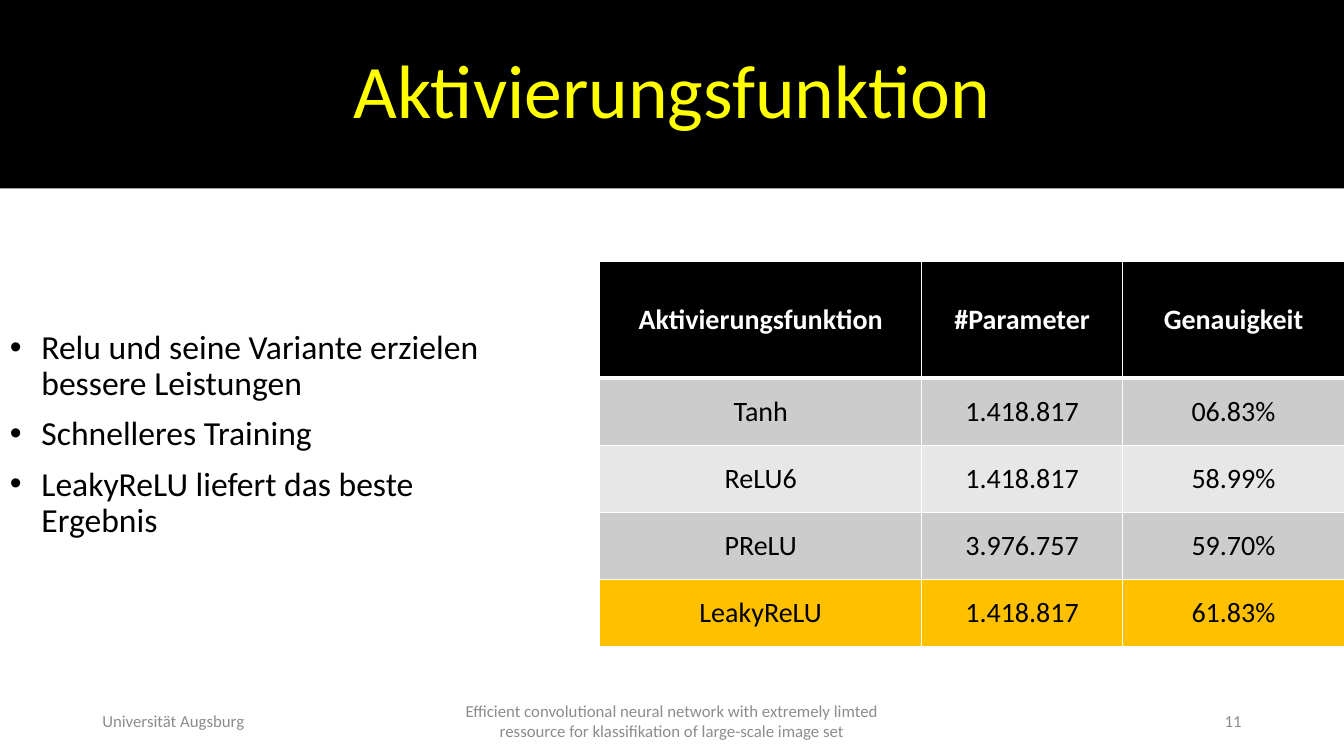
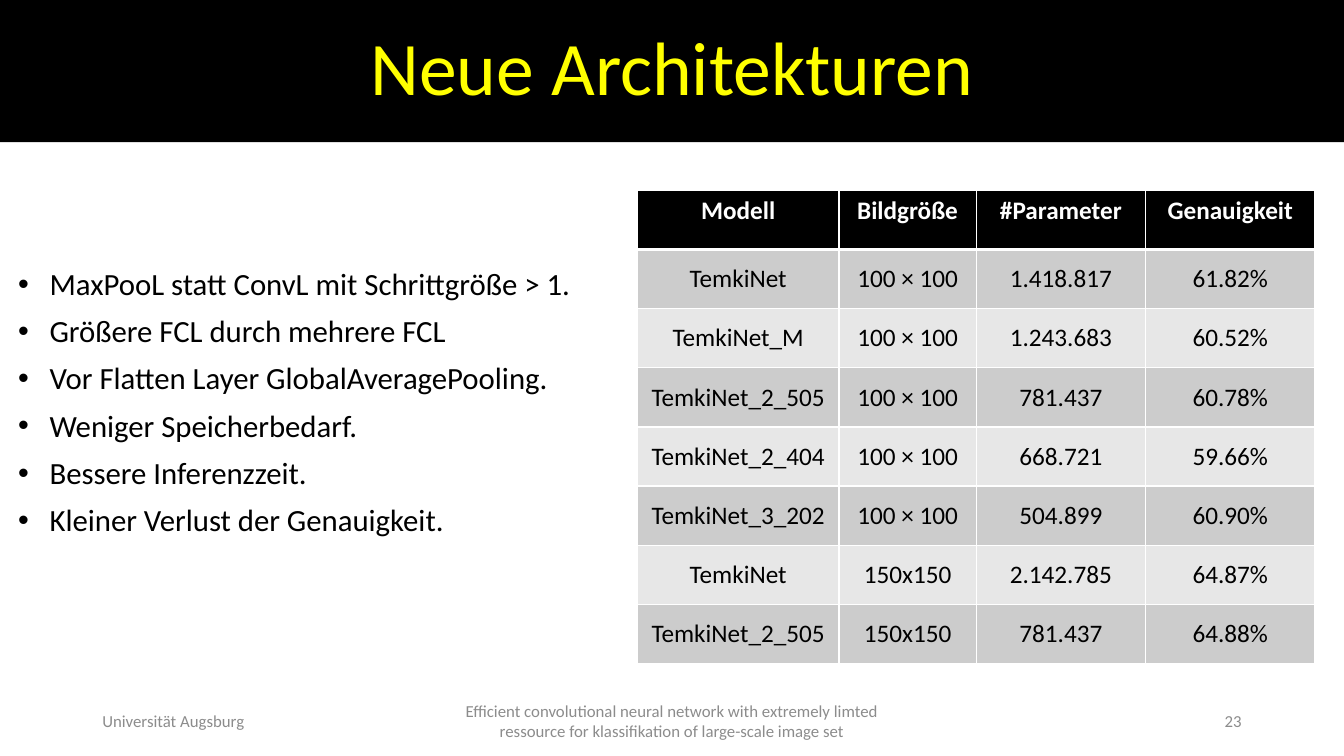
import pptx
import pptx.dml.color
import pptx.enum.shapes
import pptx.enum.text
import pptx.oxml
import pptx.oxml.ns
import pptx.util

Pt = pptx.util.Pt
RGB = pptx.dml.color.RGBColor
ALIGN = pptx.enum.text.PP_ALIGN
MIDDLE = pptx.enum.text.MSO_ANCHOR.MIDDLE
TOP = pptx.enum.text.MSO_ANCHOR.TOP
NS = pptx.oxml.ns.nsdecls("a")

BLACK = RGB(0x00, 0x00, 0x00)
WHITE = RGB(0xFF, 0xFF, 0xFF)
YELLOW = RGB(0xFF, 0xFF, 0x00)
GOLD = RGB(0xFF, 0xC0, 0x00)
MUTED = RGB(0x8C, 0x8C, 0x8C)
BANDS = [RGB(0xE7, 0xE7, 0xE7), RGB(0xCC, 0xCC, 0xCC)]

FONT = "Calibri"
WIDTH = 960
INDENT = Pt(22.5)
THESIS = ("Efficient convolutional neural network with extremely limted "
          "ressource for klassifikation of large-scale image set")

SLIDES = [
    {
        "title": "Aktivierungsfunktion", "band": 134.5, "number": "11",
        "points": [
            "Relu und seine Variante erzielen bessere Leistungen",
            "Schnelleres Training",
            "LeakyReLU liefert das beste Ergebnis",
        ],
        "body": (0, 187, 389.5, 247.5), "size": 24,
        "corner": (428.4, 187), "cols": [230, 143.5, 158.5],
        "rows": [83] + [48] * 4, "inset": (22, 6.5),
        "font": 20, "anchor": MIDDLE, "best": 4,
        "cells": [
            ["Aktivierungsfunktion", "#Parameter", "Genauigkeit"],
            ["Tanh", "1.418.817", "06.83%"],
            ["ReLU6", "1.418.817", "58.99%"],
            ["PReLU", "3.976.757", "59.70%"],
            ["LeakyReLU", "1.418.817", "61.83%"],
        ],
    },
    {
        "title": "Neue Architekturen", "band": 101.5, "number": "23",
        "points": [
            "MaxPooL statt ConvL mit Schrittgröße > 1.",
            "Größere FCL durch mehrere FCL",
            "Vor Flatten Layer GlobalAveragePooling.",
            "Weniger Speicherbedarf.",
            "Bessere Inferenzzeit.",
            "Kleiner Verlust der Genauigkeit.",
        ],
        "body": (5.8, 136, 440.6, 304.5), "size": 22,
        "corner": (455.3, 136), "cols": [144, 98, 121, 121],
        "rows": [42.25] * 8, "inset": (7.2, 3.6),
        "font": 18, "anchor": TOP, "best": None,
        "cells": [
            ["Modell", "Bildgröße", "#Parameter", "Genauigkeit"],
            ["TemkiNet", "100 × 100", "1.418.817", "61.82%"],
            ["TemkiNet_M", "100 × 100", "1.243.683", "60.52%"],
            ["TemkiNet_2_505", "100 × 100", "781.437", "60.78%"],
            ["TemkiNet_2_404", "100 × 100", "668.721", "59.66%"],
            ["TemkiNet_3_202", "100 × 100", "504.899", "60.90%"],
            ["TemkiNet", "150x150", "2.142.785", "64.87%"],
            ["TemkiNet_2_505", "150x150", "781.437", "64.88%"],
        ],
    },
]


def write(para, text, size, color, align=ALIGN.LEFT, bold=False):
    para.text = text
    para.alignment = align
    font = para.font
    font.name, font.size, font.bold = FONT, Pt(size), bold
    font.color.rgb = color


def add_text(slide, *area):
    """Add a wrapping, vertically centred text box and return its frame."""
    frame = slide.shapes.add_textbox(*map(Pt, area)).text_frame
    frame.word_wrap = True
    frame.vertical_anchor = MIDDLE
    return frame


deck = pptx.Presentation()
deck.slide_width, deck.slide_height = Pt(WIDTH), Pt(540)

for page in SLIDES:
    slide = deck.slides.add_slide(deck.slide_layouts[6])

    # Title band
    band = slide.shapes.add_shape(
        pptx.enum.shapes.MSO_SHAPE.RECTANGLE, 0, 0, Pt(WIDTH), Pt(page["band"]))
    band.shadow.inherit = False
    band.fill.solid()
    band.fill.fore_color.rgb = BLACK
    band.line.fill.background()
    band.text_frame.word_wrap = True
    band.text_frame.vertical_anchor = MIDDLE
    title = band.text_frame.paragraphs[0]
    title.line_spacing = 0.9
    write(title, page["title"], 54, YELLOW, ALIGN.CENTER)

    # Bullet list
    frame = add_text(slide, *page["body"])
    for i, point in enumerate(page["points"]):
        para = frame.add_paragraph() if i else frame.paragraphs[0]
        para.line_spacing = 0.9
        para.space_before = Pt(10)
        props = para._p.get_or_add_pPr()
        props.set("marL", str(INDENT))
        props.set("indent", str(-INDENT))
        for tag in ('buFont typeface="Arial"', 'buChar char="•"'):
            props.append(pptx.oxml.parse_xml(f"<a:{tag} {NS}/>"))
        write(para, point, page["size"], BLACK)

    # Results table
    cols, rows = page["cols"], page["rows"]
    area = (*page["corner"], sum(cols), sum(rows))
    table = slide.shapes.add_table(len(rows), len(cols), *map(Pt, area)).table
    table.first_row = table.horz_banding = False
    for col, width in zip(table.columns, cols):
        col.width = Pt(width)
    for row, height in zip(table.rows, rows):
        row.height = Pt(height)
    for r, texts in enumerate(page["cells"]):
        head = r == 0
        fill = BLACK if head else GOLD if r == page["best"] else BANDS[r % 2]
        edges = {"L": 1, "R": 1, "T": 3 if r == 1 else 1, "B": 3 if head else 1}
        for c, text in enumerate(texts):
            cell = table.cell(r, c)
            props = cell._tc.get_or_add_tcPr()
            for side, weight in edges.items():
                props.append(pptx.oxml.parse_xml(
                    f'<a:ln{side} {NS} w="{Pt(weight)}"><a:solidFill>'
                    f'<a:srgbClr val="{WHITE}"/></a:solidFill></a:ln{side}>'))
            cell.fill.solid()
            cell.fill.fore_color.rgb = fill
            cell.vertical_anchor = page["anchor"] if head else MIDDLE
            across, down = map(Pt, page["inset"])
            cell.margin_left = cell.margin_right = across
            cell.margin_top = cell.margin_bottom = down
            write(cell.text_frame.paragraphs[0], text, page["font"],
                  WHITE if head else BLACK, ALIGN.CENTER, head)

    # Footer
    for left, width, text, align in [
        (66, 216, "Universität Augsburg", ALIGN.LEFT),
        (318, 324, THESIS, ALIGN.CENTER),
        (678, 216, page["number"], ALIGN.RIGHT),
    ]:
        frame = add_text(slide, left, 500.5, width, 28.75)
        write(frame.paragraphs[0], text, 12, MUTED, align)

deck.save("out.pptx")
